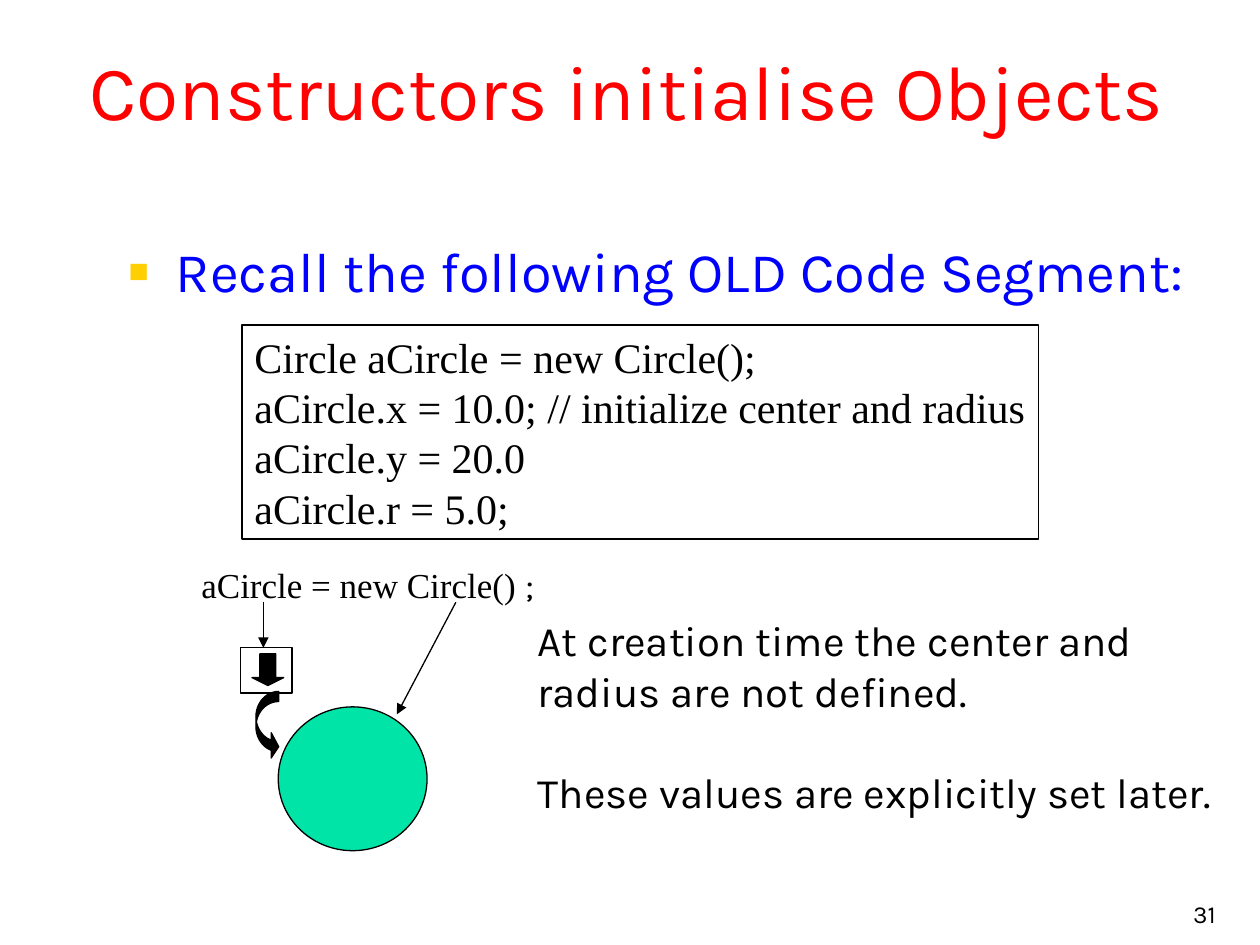
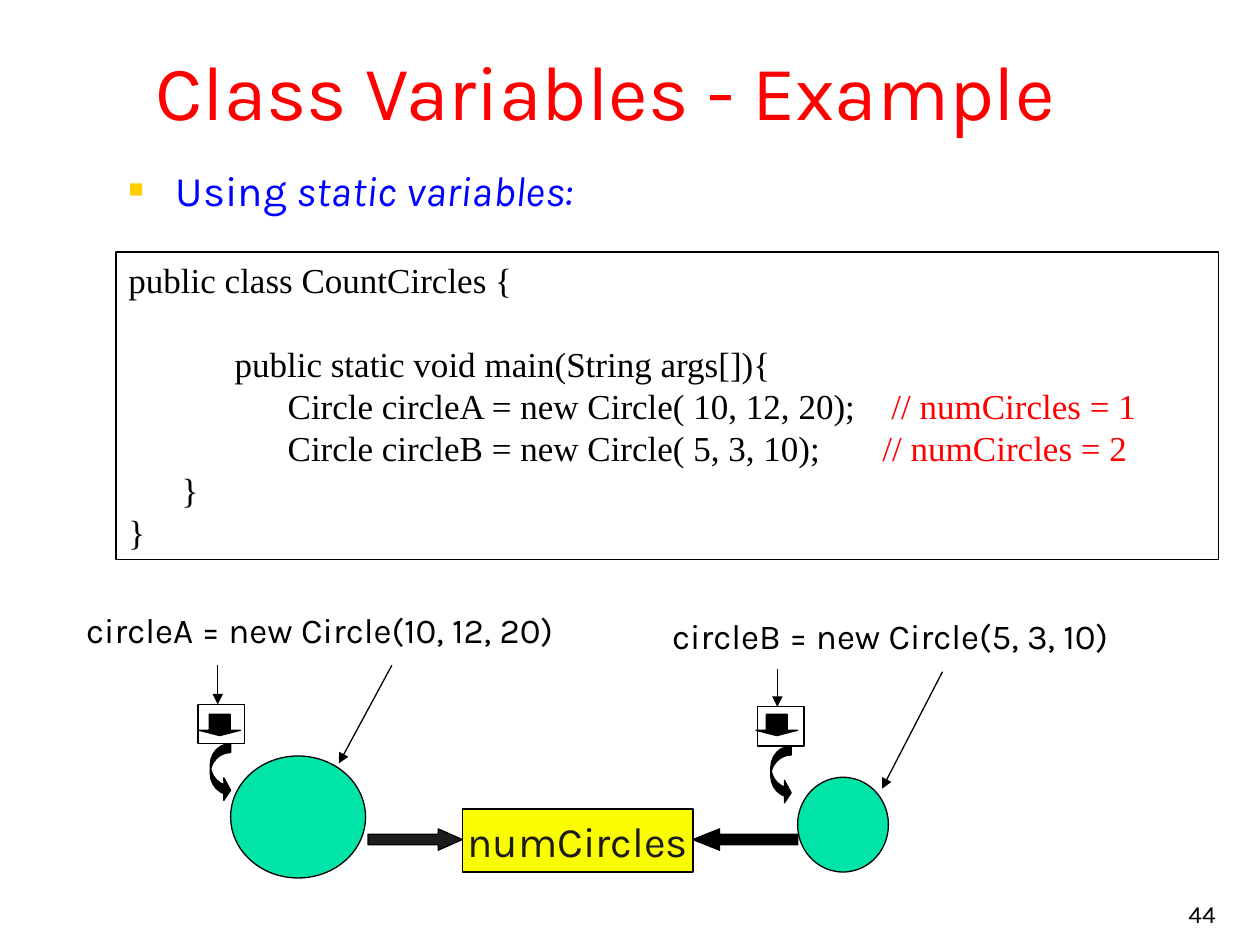
from lxml import etree
from pptx import Presentation
from pptx.dml.color import RGBColor
from pptx.enum.shapes import MSO_CONNECTOR, MSO_SHAPE
from pptx.enum.text import MSO_ANCHOR, MSO_AUTO_SIZE, PP_ALIGN
from pptx.oxml.ns import qn
from pptx.util import Cm, Pt

LEFT, CENTER, RIGHT = PP_ALIGN.LEFT, PP_ALIGN.CENTER, PP_ALIGN.RIGHT
TOP, MIDDLE, BOTTOM = MSO_ANCHOR.TOP, MSO_ANCHOR.MIDDLE, MSO_ANCHOR.BOTTOM
NO_AUTOFIT = MSO_AUTO_SIZE.NONE
STRAIGHT = MSO_CONNECTOR.STRAIGHT
RECT, OVAL = MSO_SHAPE.RECTANGLE, MSO_SHAPE.OVAL
DOWN, HOOK = MSO_SHAPE.DOWN_ARROW, MSO_SHAPE.CURVED_RIGHT_ARROW
TO_RIGHT, TO_LEFT = MSO_SHAPE.RIGHT_ARROW, MSO_SHAPE.LEFT_ARROW

SANS, SERIF = "Karla", "Times New Roman"
BLACK, WHITE, RED, BLUE = "000000", "FFFFFF", "FF0000", "0000FF"
GOLD, GREEN, YELLOW, CHARCOAL = "FFCF01", "00E4A8", "FAFD00", "1C1C1C"
LINE_WIDTH = Pt(0.75)
TAB = 1.07


def rgb(value):
    return RGBColor.from_string(value)


def add_xml(parent, tag, **attributes):
    return etree.SubElement(parent, qn(tag), attributes)


class Deck:
    """Holds the shared style and the slide being built."""

    def __init__(self):
        self.prs = Presentation()
        self.prs.slide_width, self.prs.slide_height = Cm(25.4), Cm(19.05)
        self.s = None

    def style(self, font, name=None, size=None, color=None, italic=None):
        if name:
            font.name = name
        if size:
            font.size = Pt(size)
        if color:
            font.color.rgb = rgb(color)
        if italic:
            font.italic = True

    def paragraph(self, p, runs, size, color=BLACK, name=SANS, align=LEFT):
        p.alignment = align
        self.style(p.font, name, size, color)
        if isinstance(runs, str):
            runs = [(runs, {})]
        for text, changes in runs:
            r = p.add_run()
            r.text = text
            self.style(r.font, **changes)

    def place(self, sp, at):
        sp.left, sp.top, sp.width, sp.height = map(Cm, at)

    def outline(self, sp, color=BLACK):
        sp.line.color.rgb = rgb(color)
        sp.line.width = LINE_WIDTH

    def slide(self, number, title, title_left):
        self.s = self.prs.slides.add_slide(self.prs.slide_layouts[1])
        sp = self.s.shapes.title
        self.place(sp, (title_left, 0.43, 24.43, 2.74))
        sp.fill.solid()
        sp.fill.fore_color.rgb = rgb(WHITE)
        tf = sp.text_frame
        tf.auto_size, tf.vertical_anchor = NO_AUTOFIT, MIDDLE
        self.paragraph(tf.paragraphs[0], title, 44, RED, align=CENTER)
        self.text((19.48, 17.58, 5.28, 1.27), [str(number)], 14,
                  align=RIGHT, anchor=BOTTOM)

    def bullet(self, at, runs, size, before):
        sp = self.s.placeholders[1]
        self.place(sp, at)
        tf = sp.text_frame
        tf.auto_size, tf.vertical_anchor = NO_AUTOFIT, TOP
        p = tf.paragraphs[0]
        p.space_before = Pt(before)
        pPr = p._p.get_or_add_pPr()
        pPr.set("marL", str(Cm(0.95)))
        pPr.set("indent", str(-Cm(0.95)))
        add_xml(add_xml(pPr, "a:buClr"), "a:srgbClr", val=GOLD)
        add_xml(pPr, "a:buSzPct", val="60000")
        add_xml(pPr, "a:buChar", char="■")
        self.paragraph(p, runs, size, BLUE)

    def text(self, at, lines, size, name=SANS, align=LEFT, anchor=TOP,
             wrap=True, border=None):
        sp = self.s.shapes.add_textbox(*map(Cm, at))
        if border:
            self.outline(sp, border)
        tf = sp.text_frame
        tf.word_wrap, tf.vertical_anchor = wrap, anchor
        for i, line in enumerate(lines):
            p = tf.add_paragraph() if i else tf.paragraphs[0]
            p.line_spacing = Pt(1.2 * size)
            self.paragraph(p, line, size, name=name, align=align)
        return tf

    def tabs(self, p, comment):
        pPr = p._p.get_or_add_pPr()
        tab_list = etree.Element(qn("a:tabLst"))
        for stop in (TAB, 2 * TAB, 3 * TAB, comment):
            add_xml(tab_list, "a:tab", pos=str(Cm(stop)), algn="l")
        pPr.find(qn("a:defRPr")).addprevious(tab_list)

    def shape(self, kind, at, fill, adjustments=()):
        sp = self.s.shapes.add_shape(kind, *map(Cm, at))
        sp.shadow.inherit = False
        sp.fill.solid()
        sp.fill.fore_color.rgb = rgb(fill)
        self.outline(sp)
        for i, value in enumerate(adjustments):
            sp.adjustments[i] = value
        return sp

    def arrow(self, start, end):
        cx = self.s.shapes.add_connector(STRAIGHT, *map(Cm, start + end))
        self.outline(cx)
        spPr = cx._element.spPr
        add_xml(spPr.find(qn("a:ln")), "a:tailEnd", type="triangle")
        add_xml(spPr, "a:effectLst")

    def reference(self, box, pointer, hook, circle, stem, link):
        self.shape(RECT, box, WHITE)
        self.shape(HOOK, hook, BLACK, (0.44, 1.11, 0.33))
        self.shape(OVAL, circle, GREEN)
        self.arrow(stem, (stem[0], box[1]))
        self.arrow(*link)
        self.shape(DOWN, pointer, BLACK, (0.5, 0.25))


def constructors(deck):
    deck.slide(31, "Constructors initialise Objects", 0.43)
    deck.bullet((2.34, 4.65, 22.43, 12.37),
                "Recall the following OLD Code Segment:", 32, 8)
    deck.text((4.88, 6.55, 16.05, 4.32), [
        "Circle aCircle = new Circle();",
        "aCircle.x = 10.0; // initialize center and radius",
        "aCircle.y = 20.0",
        "aCircle.r = 5.0;",
    ], 24, SERIF, wrap=False, border=BLACK)
    deck.text((3.81, 11.23, 7.62, 1.12),
              [[("aCircle = new Circle() ", {}), (";", {"name": SANS})]],
              20, SERIF, border=WHITE)
    deck.reference(box=(4.85, 13.06, 1.04, 0.91),
                   pointer=(5.08, 13.18, 0.64, 0.64),
                   hook=(5.16, 13.94, 0.46, 1.37),
                   circle=(5.61, 14.25, 3, 2.9),
                   stem=(5.31, 12.14),
                   link=((9.19, 12.14), (8, 14.4)))
    tf = deck.text((10.59, 12.27, 14.2, 5.33), [
        "At creation time the center and radius are not defined.",
        "These values are explicitly set later.",
    ], 24)
    tf.paragraphs[1].space_before = Pt(28.8)


def class_variables(deck):
    deck.slide(44, "Class Variables - Example", 0)
    deck.bullet((2.34, 3.18, 22.43, 13.87),
                [("Using ", {}), ("static variables:", {"italic": True})], 24, 6)
    red = {"color": RED}
    tf = deck.text((2.34, 5.08, 22.23, 6.2), [
        "public class CountCircles {",
        "\t\tpublic static void main(String args[]){",
        [("\t\t\tCircle circleA = new Circle( 10, 12, 20);\t", {}),
         ("// numCircles = 1", red)],
        [("\t\t\tCircle circleB = new Circle( 5, 3, 10);\t", {}),
         ("// numCircles = 2", red)],
        "\t}",
        "}",
    ], 20, SERIF, border=BLACK)
    tf.paragraphs[1].space_before = Pt(24)
    for i, p in enumerate(tf.paragraphs):
        deck.tabs(p, 15.2 if i == 3 else 15.38)
    deck.reference(box=(3.99, 14.2, 0.94, 0.79),
                   pointer=(4.01, 14.4, 0.84, 0.43),
                   hook=(4.24, 14.99, 0.41, 1.17),
                   circle=(4.65, 15.24, 2.72, 2.46),
                   stem=(4.39, 13.41),
                   link=((7.9, 13.41), (6.83, 15.39)))
    deck.reference(box=(15.27, 14.25, 0.94, 0.79),
                   pointer=(15.24, 14.4, 0.84, 0.43),
                   hook=(15.54, 15.04, 0.41, 1.17),
                   circle=(16.08, 15.67, 1.83, 1.91),
                   stem=(15.67, 13.49),
                   link=((19, 13.54), (17.78, 15.9)))
    for at, label in (
        ((1.22, 12.14, 10.46, 1.12), "circleA = new Circle(10, 12, 20)"),
        ((13.11, 12.27, 9.68, 1.12), "circleB = new Circle(5, 3, 10)"),
    ):
        deck.text(at, [label], 20, align=CENTER, wrap=False)
    sp = deck.shape(RECT, (9.32, 16.31, 4.65, 1.27), YELLOW)
    tf = sp.text_frame
    tf.word_wrap, tf.vertical_anchor = False, MIDDLE
    deck.paragraph(tf.paragraphs[0], "numCircles", 24, CHARCOAL, align=CENTER)
    deck.shape(TO_RIGHT, (7.42, 16.71, 1.9, 0.43), CHARCOAL, (0.5, 1.13))
    deck.shape(TO_LEFT, (13.97, 16.71, 2.11, 0.43), BLACK, (0.5, 1.25))


def main():
    deck = Deck()
    constructors(deck)
    class_variables(deck)
    deck.prs.save("out.pptx")


if __name__ == "__main__":
    main()
